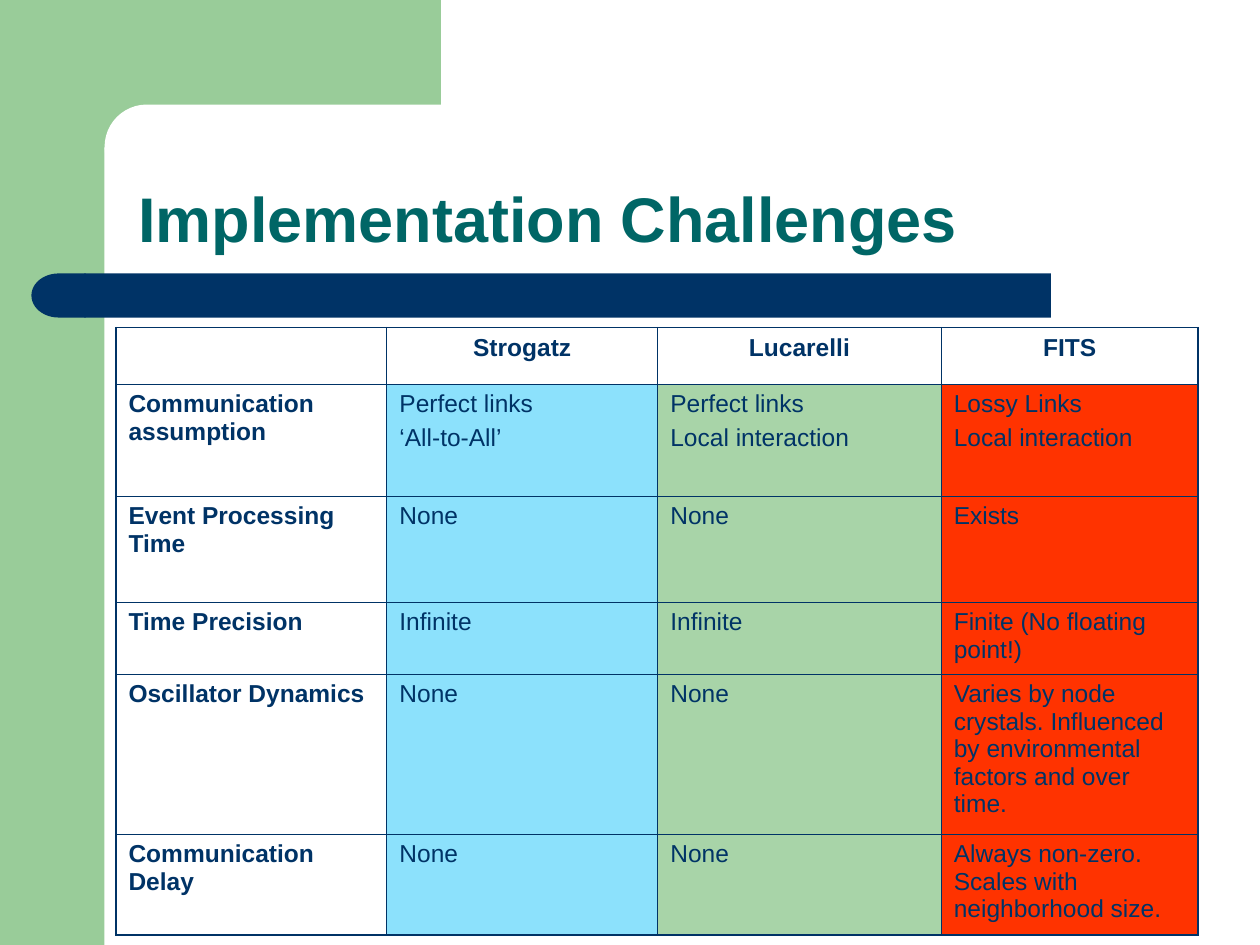
from lxml.etree import SubElement
from pptx import Presentation
from pptx.dml.color import RGBColor
from pptx.enum.shapes import MSO_SHAPE
from pptx.enum.text import MSO_ANCHOR, PP_ALIGN
from pptx.oxml.ns import qn
from pptx.util import Inches, Pt

COLORS = {
    "green": "99CC99",
    "white": "FFFFFF",
    "navy": "003366",
    "teal": "006666",
    "sky": "8CE1FC",
    "leaf": "A8D4A8",
    "red": "FF3300",
}
FONT = "Arial"
WIDTHS = [2.15, 2.15, 2.25, 2.04]
HEIGHTS = [0.45, 0.89, 0.84, 0.57, 1.27, 0.8]
FILLS = [None, "sky", "leaf", "red"]
ROWS = [
    ["", "Strogatz", "Lucarelli", "FITS"],
    ["Communication assumption", "Perfect links\n‘All-to-All’",
     "Perfect links\nLocal interaction", "Lossy Links\nLocal interaction"],
    ["Event Processing Time", "None", "None", "Exists"],
    ["Time Precision", "Infinite", "Infinite", "Finite (No floating point!)"],
    ["Oscillator Dynamics", "None", "None",
     "Varies by node crystals. Influenced by environmental factors and over time."],
    ["Communication Delay", "None", "None",
     "Always non-zero. Scales with neighborhood size."],
]


def get_color(name):
    return RGBColor.from_string(COLORS[name])


def add_block(slide, kind, box, color, round_by=None):
    shape = slide.shapes.add_shape(kind, *map(Inches, box))
    shape.shadow.inherit = False
    shape.fill.solid()
    shape.fill.fore_color.rgb = get_color(color)
    shape.line.fill.background()
    if round_by is not None:
        shape.adjustments[0] = round_by
    return shape


def style_text(frame, size, color, bold):
    for para in frame.paragraphs:
        for run in para.runs:
            run.font.name = FONT
            run.font.size = Pt(size)
            run.font.bold = bold
            run.font.color.rgb = get_color(color)


def add_title(slide, text):
    box = slide.shapes.add_textbox(Inches(1), Inches(0.83), Inches(8.75), Inches(1.25))
    frame = box.text_frame
    frame.word_wrap = True
    frame.vertical_anchor = MSO_ANCHOR.BOTTOM
    frame.text = text
    frame.paragraphs[0].line_spacing = 0.9
    style_text(frame, 36, "teal", True)


def add_edges(cell, widths):
    """Draw the cell borders; widths are points by side."""
    props = cell._tc.get_or_add_tcPr()
    for side, width in widths.items():
        line = SubElement(props, qn("a:ln" + side), w=str(Pt(width)))
        fill = SubElement(line, qn("a:solidFill"))
        SubElement(fill, qn("a:srgbClr"), val=COLORS["navy"])


def fill_cell(cell, text, head, bold, color):
    frame = cell.text_frame
    frame.text = text
    style_text(frame, 14, "navy", bold)
    for para in frame.paragraphs[1:]:
        para.space_before = Pt(3.5)
    if head:
        frame.paragraphs[0].alignment = PP_ALIGN.CENTER
    if color:
        cell.fill.solid()
        cell.fill.fore_color.rgb = get_color(color)
    else:
        cell.fill.background()


def add_grid(slide):
    table = slide.shapes.add_table(
        len(ROWS), len(WIDTHS), Inches(0.92), Inches(2.6),
        Inches(sum(WIDTHS)), Inches(sum(HEIGHTS))).table
    table.first_row = table.horz_banding = False
    for col, width in zip(table.columns, WIDTHS):
        col.width = Inches(width)
    for row, height in zip(table.rows, HEIGHTS):
        row.height = Inches(height)

    # Outer edges are thicker than inner ones
    thin, thick = 0.45, 1.08
    for r, row in enumerate(ROWS):
        for c, text in enumerate(row):
            cell = table.cell(r, c)
            add_edges(cell, {
                "L": thick if c == 0 else thin,
                "R": thick if c == len(WIDTHS) - 1 else thin,
                "T": thick if r == 0 else thin,
                "B": thick if r == len(ROWS) - 1 else thin,
            })
            fill_cell(cell, text, r == 0, r == 0 or c == 0,
                      FILLS[c] if r else None)


def main():
    deck = Presentation()
    deck.slide_width, deck.slide_height = Inches(10), Inches(7.5)
    slide = deck.slides.add_slide(deck.slide_layouts[6])

    # Green frame with a rounded inner corner
    add_block(slide, MSO_SHAPE.RECTANGLE, (0, 0, 0.83, 7.5), "green")
    add_block(slide, MSO_SHAPE.RECTANGLE, (0.75, 0, 2.75, 1.17), "green")
    add_block(slide, MSO_SHAPE.ROUNDED_RECTANGLE, (0.83, 0.83, 5.58, 0.67), "white", 0.5)

    # Navy bar with a round left end
    add_block(slide, MSO_SHAPE.ROUNDED_RECTANGLE, (0.67, 2.17, 7.67, 0.35), "navy", 0)
    cap = add_block(slide, MSO_SHAPE.FLOWCHART_DELAY, (0.25, 2.17, 0.43, 0.35), "navy")
    cap._element.spPr.xfrm.set("flipH", "1")

    # Title and table
    add_title(slide, "Implementation Challenges")
    add_grid(slide)
    deck.save("out.pptx")


if __name__ == "__main__":
    main()
